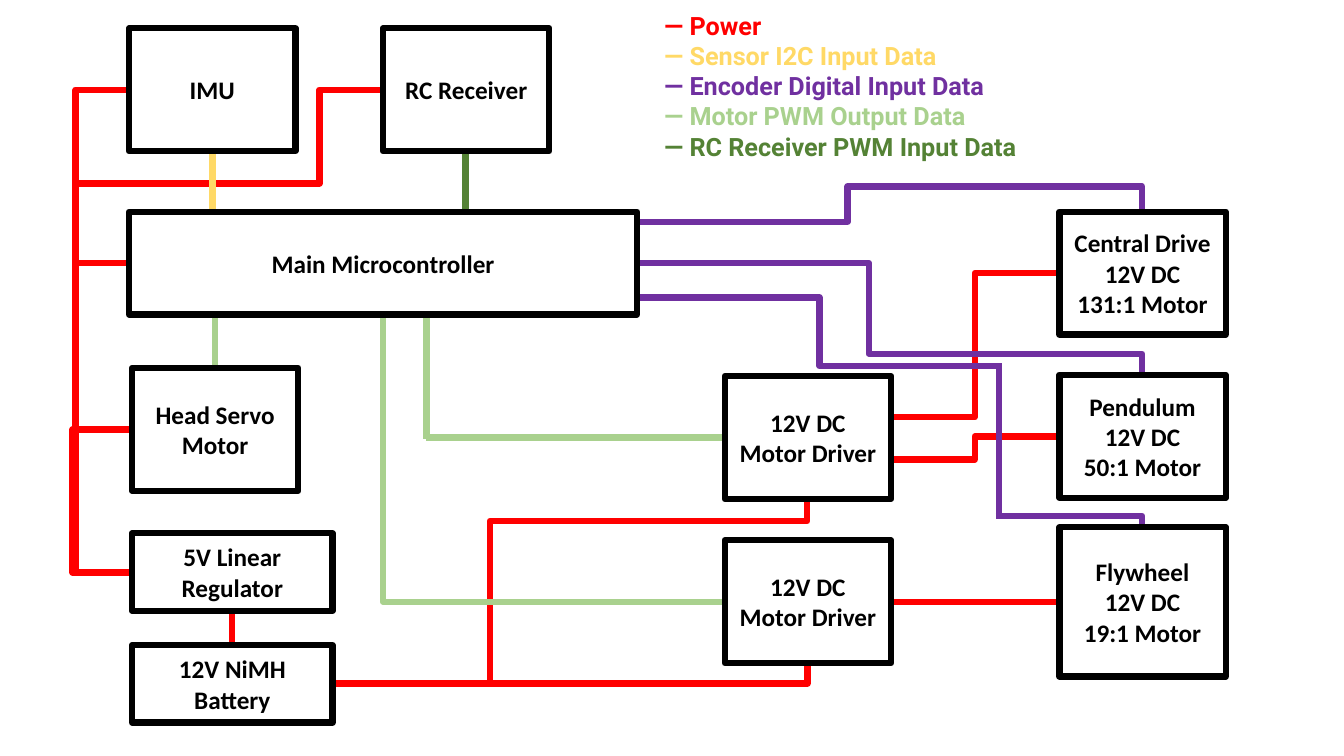
from dataclasses import dataclass

from lxml import etree
from pptx import Presentation
from pptx.dml.color import RGBColor
from pptx.enum.shapes import MSO_CONNECTOR, MSO_SHAPE
from pptx.enum.text import MSO_ANCHOR, MSO_AUTO_SIZE, PP_ALIGN
from pptx.oxml.ns import qn
from pptx.util import Pt

STRAIGHT, ELBOW = MSO_CONNECTOR.STRAIGHT, MSO_CONNECTOR.ELBOW
RECTANGLE = MSO_SHAPE.RECTANGLE
MIDDLE = MSO_ANCHOR.MIDDLE
CENTER, LEFT = PP_ALIGN.CENTER, PP_ALIGN.LEFT
GROW, FIXED = MSO_AUTO_SIZE.SHAPE_TO_FIT_TEXT, MSO_AUTO_SIZE.NONE

COLORS = {
    "block": "000000",
    "power": "FF0000",
    "sensor": "FFD966",
    "encoder": "7030A0",
    "motor": "A9D18E",
    "receiver": "548235",
}
LEGEND = {
    "power": "— Power",
    "sensor": "— Sensor I2C Input Data",
    "encoder": "— Encoder Digital Input Data",
    "motor": "— Motor PWM Output Data",
    "receiver": "— RC Receiver PWM Input Data",
}
BLOCK_FRAME = {"word_wrap": True, "vertical_anchor": MIDDLE, "auto_size": FIXED}
LEGEND_FRAME = {"word_wrap": False, "auto_size": GROW}
BLOCK_FONT = {"name": "Calibri", "size": Pt(18), "bold": True}
LEGEND_FONT = {"name": "Roboto", "size": Pt(18), "bold": True}
LINE_WIDTH = 4.5

UNIT = (118.8, 87.8)
SUPPLY = (143.3, 55.4)
BUS = 54
CONTROLLER_LEFT, CONTROLLER_RIGHT = 92.2, 455
CONTROLLER_TOP, CONTROLLER_BOTTOM = 151.2, 224.6
SUPPLY_LEFT = 94.3
DRIVER_LEFT, DRIVER_MIDDLE, DRIVER_RIGHT = 517.7, 576.7, 636.5
MOTOR_LEFT, MOTOR_MIDDLE = 756.7, 815.8
REGULATOR_Y, BATTERY_Y = 409, 488.2


@dataclass(frozen=True)
class Block:
    left: float
    top: float
    size: tuple[float, float]
    lines: tuple[str, ...]


@dataclass(frozen=True)
class Wire:
    signal: str
    points: tuple[tuple[float, float], ...]


BLOCKS = [
    Block(MOTOR_LEFT, 376.6, (118.8, 106.6), ("Flywheel", "12V DC", "19:1 Motor")),
    Block(273.6, 20.2, UNIT, ("RC Receiver",)),
    Block(MOTOR_LEFT, 267.8, UNIT, ("Pendulum 12V DC", "50:1 Motor")),
    Block(MOTOR_LEFT, 151.2, UNIT, ("Central Drive 12V DC", "131:1 Motor")),
    Block(DRIVER_LEFT, 268.6, UNIT, ("12V DC Motor Driver",)),
    Block(DRIVER_LEFT, 385.9, UNIT, ("12V DC Motor Driver",)),
    Block(SUPPLY_LEFT, 460.8, SUPPLY, ("12V NiMH Battery",)),
    Block(SUPPLY_LEFT, 262.8, UNIT, ("Head Servo Motor",)),
    Block(SUPPLY_LEFT, 380.9, SUPPLY, ("5V Linear Regulator",)),
    Block(CONTROLLER_LEFT, 20.2, UNIT, ("IMU",)),
    Block(CONTROLLER_LEFT, CONTROLLER_TOP, (362.9, 73.4), ("Main Microcontroller",)),
]

WIRES = [
    Wire("motor", ((153.4, CONTROLLER_BOTTOM), (153.4, 262.8))),
    Wire("power", ((DRIVER_RIGHT, 429.8), (MOTOR_LEFT, 429.8))),
    Wire("receiver", ((332.6, 108), (332.6, 150.5))),
    Wire("motor", ((304.6, 312.5), (DRIVER_LEFT, 312.5))),
    Wire("power", ((DRIVER_RIGHT, 298.1), (696.2, 298.1), (696.2, 195.1), (MOTOR_LEFT, 195.1))),
    Wire("power", ((DRIVER_RIGHT, 328.3), (696.2, 328.3), (696.2, 311.8), (MOTOR_LEFT, 311.8))),
    Wire("encoder", ((CONTROLLER_RIGHT, 158.4), (605.5, 158.4), (605.5, 133.2),
                     (MOTOR_MIDDLE, 133.2), (MOTOR_MIDDLE, 151.2))),
    Wire("encoder", ((CONTROLLER_RIGHT, 187.9), (620.6, 187.9), (620.6, 252.7), (787, 252.7))),
    Wire("encoder", ((787, 252.7), (MOTOR_MIDDLE, 252.7), (MOTOR_MIDDLE, 267.8))),
    Wire("encoder", ((CONTROLLER_RIGHT, 212.4), (585.4, 212.4), (585.4, 261.4), (715.7, 261.4))),
    Wire("encoder", ((711.4, 368.6), (MOTOR_MIDDLE, 368.6), (MOTOR_MIDDLE, 376.6))),
    Wire("encoder", ((713.5, 260.6), (713.5, 370.8))),
    Wire("power", ((237.6, BATTERY_Y), (DRIVER_MIDDLE, BATTERY_Y), (DRIVER_MIDDLE, 473.8))),
    Wire("power", ((439.9, 372.2), (DRIVER_MIDDLE, 372.2), (DRIVER_MIDDLE, 356.4))),
    Wire("power", ((252.7, BATTERY_Y), (349.9, BATTERY_Y), (349.9, 372.2), (447.1, 372.2))),
    Wire("motor", ((DRIVER_LEFT, 429.8), (273.6, 429.8), (273.6, CONTROLLER_BOTTOM))),
    Wire("motor", ((304.6, 222.5), (304.6, 313.9))),
    Wire("power", ((165.6, 460.8), (165.6, 437))),
    Wire("power", ((CONTROLLER_LEFT, 187.9), (BUS, 187.9), (BUS, REGULATOR_Y),
                   (SUPPLY_LEFT, REGULATOR_Y))),
    Wire("power", ((CONTROLLER_LEFT, 64.1), (BUS, 64.1), (BUS, REGULATOR_Y),
                   (SUPPLY_LEFT, REGULATOR_Y))),
    Wire("power", ((212.4, 131), (BUS, 131), (BUS, 187.9), (CONTROLLER_LEFT, 187.9))),
    Wire("power", ((273.6, 64.1), (228.2, 64.1), (228.2, 131), (183.6, 131))),
    Wire("power", ((CONTROLLER_LEFT, 306.7), (51.8, 306.7), (51.8, REGULATOR_Y),
                   (SUPPLY_LEFT, REGULATOR_Y))),
    Wire("sensor", ((151.9, 108), (151.9, 149))),
]


def color(name: str) -> RGBColor:
    return RGBColor.from_string(COLORS[name])


def apply(target, values: dict) -> None:
    for name, value in values.items():
        setattr(target, name, value)


def paint_line(line, name: str) -> None:
    line.width = Pt(LINE_WIDTH)
    line.color.rgb = color(name)


def write_lines(frame, lines, alignment, font: dict) -> None:
    for index, (name, text) in enumerate(lines):
        para = frame.paragraphs[0] if index == 0 else frame.add_paragraph()
        para.alignment = alignment
        span = para.add_run()
        span.text = text
        apply(span.font, font)
        span.font.color.rgb = color(name)


def bend(properties, points) -> None:
    (start_x, start_y), (end_x, end_y) = points[0], points[-1]
    geometry = properties.find(qn("a:prstGeom"))
    geometry.set("prst", f"bentConnector{len(points) - 1}")
    ratios = []
    if len(points) > 3:
        ratios.append((points[1][0] - start_x) / (end_x - start_x))
    if len(points) > 4:
        ratios.append((points[2][1] - start_y) / (end_y - start_y))
    guides = geometry.get_or_add_avLst()
    for number, ratio in enumerate(ratios, 1):
        guide = etree.SubElement(guides, qn("a:gd"))
        guide.set("name", f"adj{number}")
        guide.set("fmla", f"val {round(ratio * 100000)}")


def draw_wire(page, wire: Wire) -> None:
    kind = STRAIGHT if len(wire.points) == 2 else ELBOW
    ends = [Pt(value) for point in (wire.points[0], wire.points[-1]) for value in point]
    connector = page.shapes.add_connector(kind, *ends)
    paint_line(connector.line, wire.signal)
    properties = connector._element.spPr
    if kind == ELBOW:
        bend(properties, wire.points)
    etree.SubElement(properties, qn("a:effectLst"))


def draw_block(page, block: Block) -> None:
    bounds = [Pt(value) for value in (block.left, block.top, *block.size)]
    box = page.shapes.add_shape(RECTANGLE, *bounds)
    box.shadow.inherit = False
    box.fill.background()
    paint_line(box.line, "block")
    apply(box.text_frame, BLOCK_FRAME)
    write_lines(box.text_frame, [("block", text) for text in block.lines], CENTER, BLOCK_FONT)


def draw_legend(page) -> None:
    box = page.shapes.add_textbox(Pt(467.3), Pt(3.6), Pt(269.3), Pt(116.6))
    apply(box.text_frame, LEGEND_FRAME)
    write_lines(box.text_frame, LEGEND.items(), LEFT, LEGEND_FONT)


def main() -> None:
    deck = Presentation()
    apply(deck, {"slide_width": Pt(960), "slide_height": Pt(540)})
    page = deck.slides.add_slide(deck.slide_layouts[6])
    for wire in WIRES:
        draw_wire(page, wire)
    for block in BLOCKS:
        draw_block(page, block)
    draw_legend(page)
    deck.save("out.pptx")


if __name__ == "__main__":
    main()
